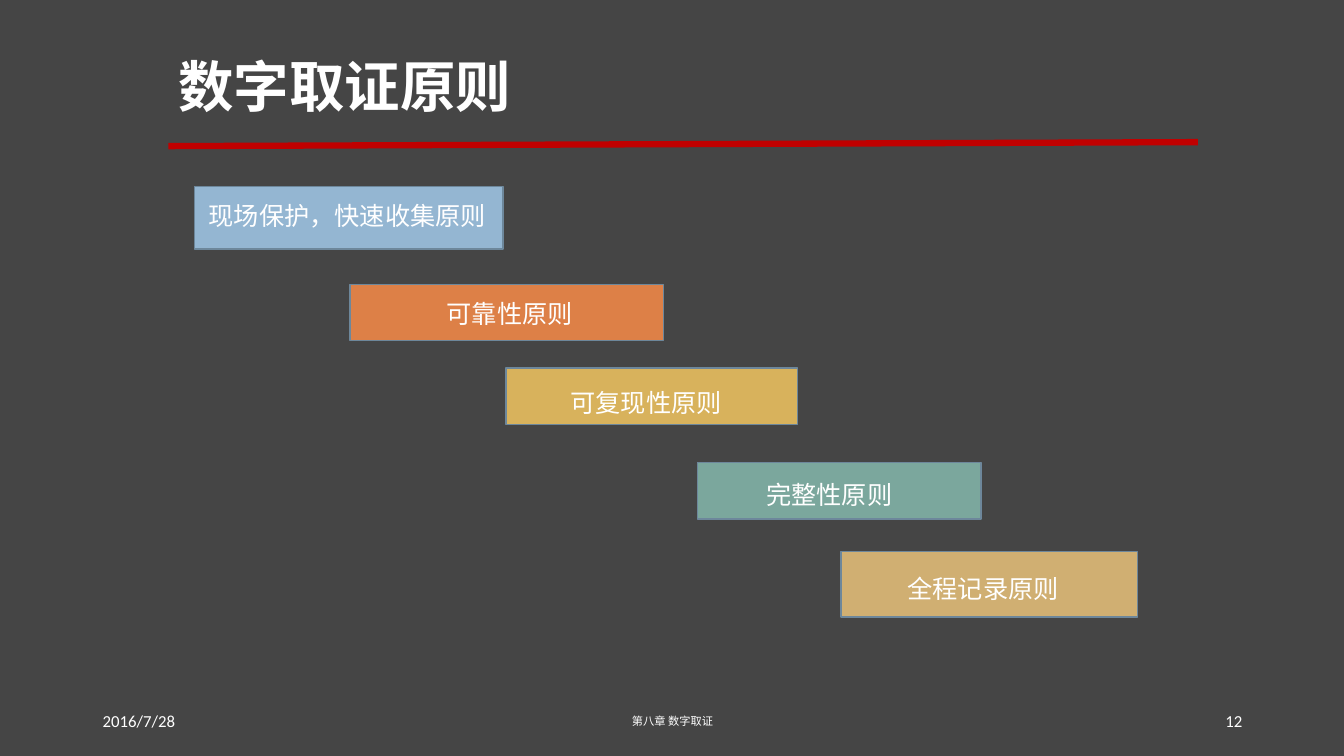
from dataclasses import dataclass
from typing import Optional

from lxml import etree
from pptx import Presentation
from pptx import util as u
from pptx.dml.color import RGBColor
from pptx.enum import shapes, text
from pptx.oxml import ns

WIDE, HIGH = u.Inches(13.33), u.Inches(7.5)
DARK = RGBColor(0x45, 0x45, 0x45)
WHITE = RGBColor(0xFF, 0xFF, 0xFF)
RED = RGBColor(0xC0, 0x00, 0x00)
EDGE = RGBColor(0x6D, 0x87, 0x9B)
BLUE = RGBColor(0x94, 0xB6, 0xD2)
ORANGE = RGBColor(0xDD, 0x80, 0x47)
GOLD = RGBColor(0xD8, 0xB2, 0x5C)
GREEN = RGBColor(0x7B, 0xA7, 0x9D)
SAND = RGBColor(0xD0, 0xAF, 0x72)
LATIN, HAN = "Calibri", "Noto Sans CJK SC"
LEFT, MID, RIGHT = text.PP_ALIGN.LEFT, text.PP_ALIGN.CENTER, text.PP_ALIGN.RIGHT
TOP, CENTER = text.MSO_ANCHOR.TOP, text.MSO_ANCHOR.MIDDLE


@dataclass
class Area:
    """A frame in percent of the slide's width and height."""
    x: float
    y: float
    w: float
    h: float

    def frame(self) -> tuple:
        return across(self.x), down(self.y), across(self.w), down(self.h)


@dataclass
class Label:
    words: str
    area: Area
    size: float = 18
    align: text.PP_ALIGN = MID
    anchor: text.MSO_ANCHOR = TOP
    face: str = LATIN
    bold: bool = False
    space: Optional[float] = None
    inset: Optional[dict] = None


@dataclass
class Step:
    fill: RGBColor
    bar: Area
    label: Label


def across(share: float) -> int:
    return round(WIDE * share / 100)


def down(share: float) -> int:
    return round(HIGH * share / 100)


def write(slide, label: Label) -> None:
    box = slide.shapes.add_textbox(*label.area.frame())
    frame = box.text_frame
    format = {"word_wrap": True, "vertical_anchor": label.anchor, **(label.inset or {})}
    for name, value in format.items():
        setattr(frame, name, value)
    para = frame.paragraphs[0]
    para.alignment = label.align
    para.line_spacing = label.space
    run = para.add_run()
    run.text = label.words
    format = {"size": u.Pt(label.size), "name": label.face, "bold": label.bold}
    for name, value in format.items():
        setattr(run.font, name, value)
    run.font.color.rgb = WHITE
    east = etree.SubElement(run.font._element, ns.qn("a:ea"))
    east.set("typeface", HAN)


def draw(slide, step: Step) -> None:
    bar = slide.shapes.add_shape(shapes.MSO_SHAPE.RECTANGLE, *step.bar.frame())
    bar.shadow.inherit = False
    bar.fill.solid()
    bar.fill.fore_color.rgb = step.fill
    bar.line.color.rgb = EDGE
    bar.line.width = u.Pt(1)
    write(slide, step.label)


def rule(slide) -> None:
    """Draw the red line under the title."""
    line = slide.shapes.add_connector(
        shapes.MSO_CONNECTOR.STRAIGHT,
        across(12.53), down(19.33), across(89.12), down(18.8))
    line.line.color.rgb = RED
    line.line.width = u.Pt(4.5)
    etree.SubElement(line._element.spPr, ns.qn("a:effectLst"))


TITLE = Label("数字取证原则", Area(12.53, 2.8, 76.59, 19.33), 39.6, LEFT, CENTER,
              HAN, True, 0.9, {"margin_bottom": u.Inches(0.15)})
FOOT = [
    Label("2016/7/28", Area(6.9, 92.67, 22.5, 5.33), 12, LEFT, CENTER),
    Label("第八章 数字取证", Area(33.16, 92.67, 33.76, 5.33), 8, MID, CENTER, HAN),
    Label("12", Area(70.67, 92.67, 22.5, 5.33), 12, RIGHT, CENTER),
]
STEPS = [
    Step(BLUE, Area(14.48, 24.67, 22.96, 8.27),
         Label("现场保护，快速收集原则", Area(14.4, 25.87, 22.58, 5.33), align=LEFT,
               inset={"margin_left": u.Inches(0.15), "margin_right": 0})),
    Step(ORANGE, Area(26.03, 37.6, 23.33, 7.47),
         Label("可靠性原则", Area(26.93, 38.8, 21.98, 5.33))),
    Step(GOLD, Area(37.66, 48.67, 21.68, 7.47),
         Label("可复现性原则", Area(37.88, 50.53, 20.41, 5.33))),
    Step(GREEN, Area(51.91, 61.2, 21.08, 7.47),
         Label("完整性原则", Area(52.21, 62.8, 18.98, 5.33))),
    Step(SAND, Area(62.57, 72.93, 22.06, 8.67),
         Label("全程记录原则", Area(63.17, 75.2, 19.95, 5.33))),
]


def main() -> None:
    deck = Presentation()
    deck.slide_width, deck.slide_height = WIDE, HIGH
    slide = deck.slides.add_slide(deck.slide_layouts[6])
    slide.background.fill.solid()
    slide.background.fill.fore_color.rgb = DARK
    rule(slide)
    for label in [TITLE, *FOOT]:
        write(slide, label)
    for step in STEPS:
        draw(slide, step)
    deck.save("out.pptx")


if __name__ == "__main__":
    main()
